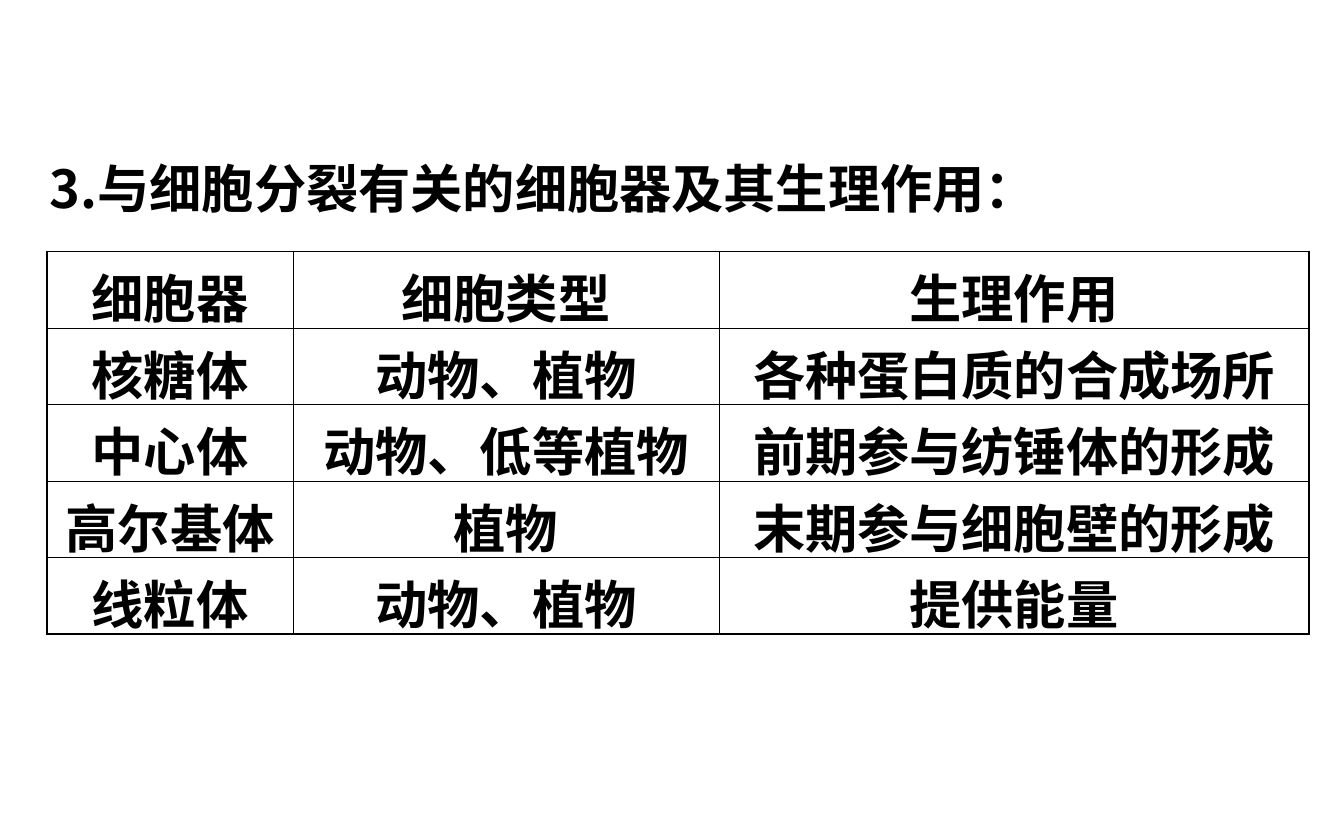
from lxml.etree import SubElement
from pptx import Presentation
from pptx.dml.color import RGBColor
from pptx.enum.text import MSO_ANCHOR, MSO_AUTO_SIZE, PP_ALIGN
from pptx.oxml.ns import qn
from pptx.util import Inches, Pt

# Content
TITLE = "3.与细胞分裂有关的细胞器及其生理作用："
ROWS = [
    ("细胞器", "细胞类型", "生理作用"),
    ("核糖体", "动物、植物", "各种蛋白质的合成场所"),
    ("中心体", "动物、低等植物", "前期参与纺锤体的形成"),
    ("高尔基体", "植物", "末期参与细胞壁的形成"),
    ("线粒体", "动物、植物", "提供能量"),
]
COL_WIDTHS = (1.83, 3.17, 4.39)
ROW_HEIGHT = 0.57

THEME = {
    "font": "Noto Sans CJK SC",
    "size": Pt(28),
    "ink": RGBColor(0, 0, 0),
    "outer": Pt(0.96),
    "inner": Pt(0.45),
}


def style(p):
    for r in p.runs:
        r.font.name = THEME["font"]
        r.font.size = THEME["size"]
        r.font.bold = True
        r.font.color.rgb = THEME["ink"]
        SubElement(r.font._element, qn("a:ea"), typeface=THEME["font"])


def set_borders(cell, outer_sides):
    """Draw all four sides, heavier where the cell meets the table edge."""
    tcPr = cell._tc.get_or_add_tcPr()
    for i, side in enumerate(("lnL", "lnR", "lnT", "lnB")):
        width = THEME["outer" if outer_sides[i] else "inner"]
        ln = SubElement(tcPr, qn(f"a:{side}"), w=str(int(width)))
        fill = SubElement(ln, qn("a:solidFill"))
        SubElement(fill, qn("a:srgbClr"), val=str(THEME["ink"]))


prs = Presentation()
prs.slide_width, prs.slide_height = Inches(10), Inches(6.25)
s = prs.slides.add_slide(prs.slide_layouts[5])

# Title
title = s.shapes.title
title.left, title.top = Inches(0.27), Inches(0.88)
title.width, title.height = Inches(9.43), Inches(0.8)
tf = title.text_frame
tf.text = TITLE
tf.word_wrap = True
tf.auto_size = MSO_AUTO_SIZE.SHAPE_TO_FIT_TEXT
tf.vertical_anchor = MSO_ANCHOR.TOP
p = tf.paragraphs[0]
p.alignment = PP_ALIGN.LEFT
p.line_spacing = 1.5
style(p)

# Table
n_rows, n_cols = len(ROWS), len(COL_WIDTHS)
table = s.shapes.add_table(
    n_rows, n_cols, Inches(0.35), Inches(1.87),
    Inches(sum(COL_WIDTHS)), Inches(ROW_HEIGHT * n_rows)).table
for col, width in zip(table.columns, COL_WIDTHS):
    col.width = Inches(width)

for i, row in enumerate(ROWS):
    table.rows[i].height = Inches(ROW_HEIGHT)
    for j, text in enumerate(row):
        cell = table.cell(i, j)
        cell.text = text
        cell.vertical_anchor = MSO_ANCHOR.MIDDLE
        p = cell.text_frame.paragraphs[0]
        p.alignment = PP_ALIGN.CENTER
        style(p)
        set_borders(cell, (j == 0, j == n_cols - 1, i == 0, i == n_rows - 1))
        cell.fill.background()

prs.save("out.pptx")
